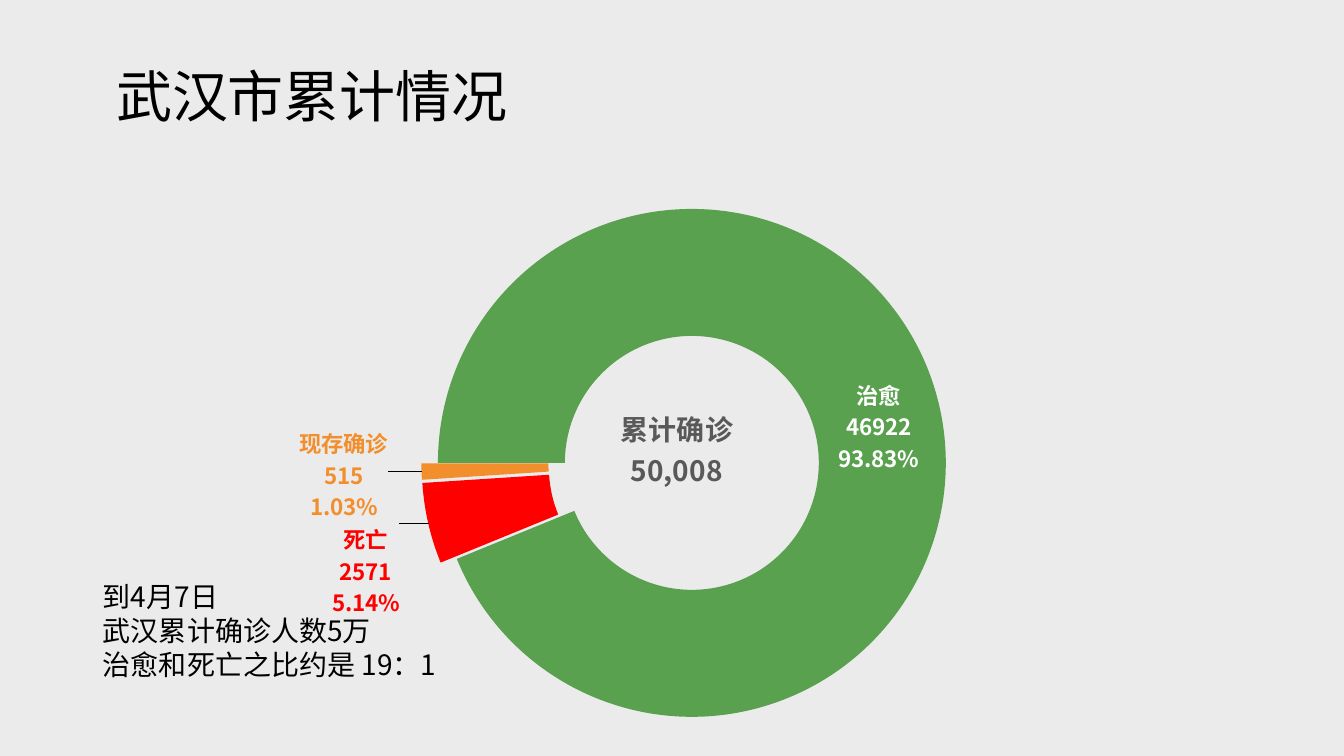
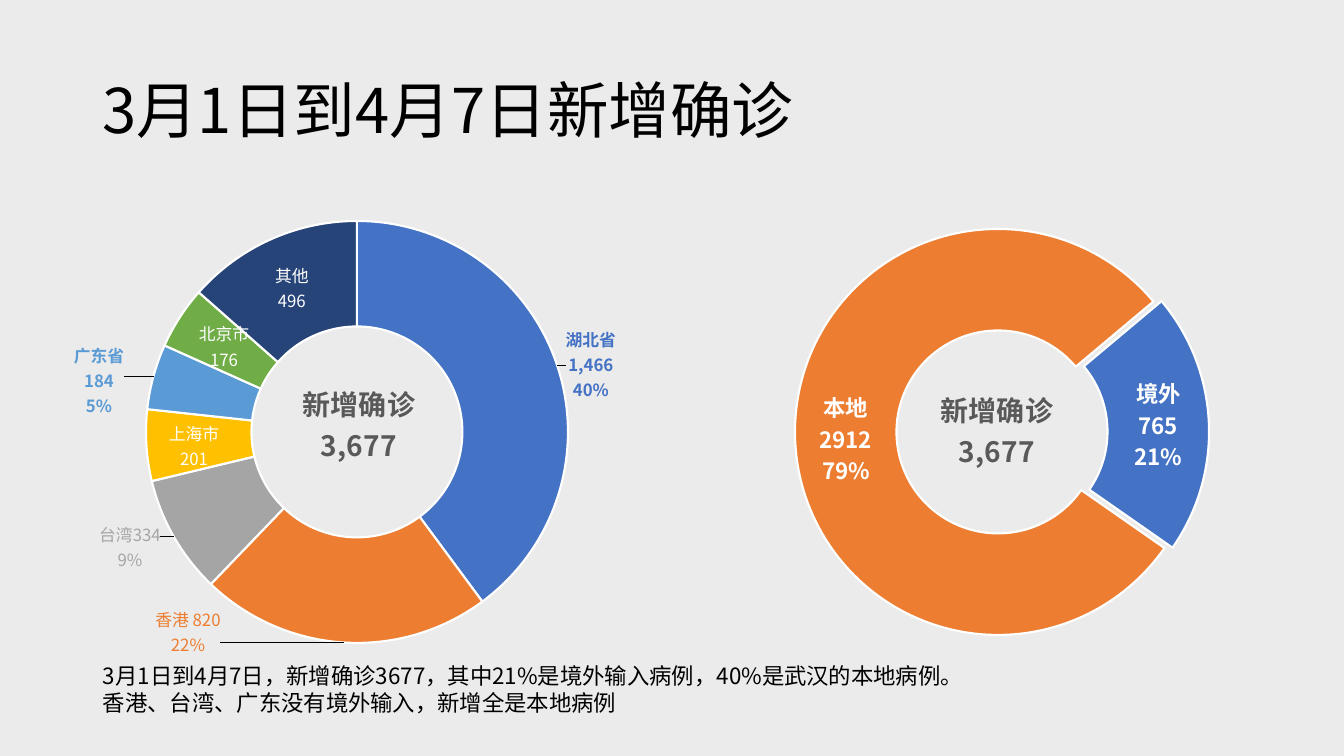
import math
from dataclasses import dataclass
from typing import Optional

from lxml import etree
from pptx import Presentation
from pptx.chart.data import CategoryChartData
from pptx.dml.color import RGBColor
from pptx.enum.chart import XL_CHART_TYPE
from pptx.enum.text import MSO_ANCHOR, MSO_AUTO_SIZE, PP_ALIGN
from pptx.oxml.ns import qn
from pptx.util import Emu, Pt

DOUGHNUT = XL_CHART_TYPE.DOUGHNUT
MIDDLE = MSO_ANCHOR.MIDDLE
NO_AUTOFIT = MSO_AUTO_SIZE.NONE
LEFT = PP_ALIGN.LEFT
EMU_PER_PX = 914400 / 100.8
TITLE_ONLY = 5


@dataclass(frozen=True)
class Theme:
    font: str = "Noto Sans CJK SC"
    chart_font: str = "Calibri"
    background: str = "EBEBEB"
    ink: str = "000000"
    muted: str = "595959"
    white: str = "FFFFFF"
    cured: str = "59A14F"
    dead: str = "FF0000"
    active: str = "F28E2B"
    blue: str = "4472C4"
    orange: str = "ED7D31"
    gray: str = "A5A5A5"
    gold: str = "FFC000"
    sky: str = "5B9BD5"
    green: str = "70AD47"
    navy: str = "264478"
    title: int = 44
    short_title: int = 40
    body: int = 20
    note: int = 16
    chart_title: int = 20
    label: int = 16
    small_label: int = 12
    chart_text: int = 10


THEME = Theme()


@dataclass
class Slice:
    name: str
    value: int
    color: str
    explosion: int = 0
    label_at: Optional[tuple] = None
    label_lines: tuple = ()
    label_color: str = THEME.white
    label_bold: bool = True


@dataclass
class Ring:
    frame: tuple
    center: tuple
    radius: int
    title_lines: tuple
    title_at: tuple
    slices: list
    hole: int = 61
    start: int = 0
    label_size: int = THEME.label
    percent_format: str = ""
    outline: str = ""


def px(length):
    return Emu(round(length * EMU_PER_PX))


def style_font(font, size, color=THEME.ink, bold=False, name=THEME.font):
    font.size = Pt(size)
    font.bold = bold
    font.color.rgb = RGBColor.from_string(color)
    font.name = name
    etree.SubElement(font._element, qn("a:ea")).set("typeface", THEME.font)


def write_lines(text_frame, lines, size, spacing=None, align=None, **look):
    for index, line in enumerate(lines):
        para = text_frame.paragraphs[0] if index == 0 else text_frame.add_paragraph()
        para.line_spacing = spacing
        para.alignment = align
        span = para.add_run()
        span.text = line
        style_font(span.font, size, **look)


def add_title(page, text, frame, size):
    box = page.shapes.title
    box.left, box.top, box.width, box.height = map(px, frame)
    text_frame = box.text_frame
    text_frame.auto_size = NO_AUTOFIT
    text_frame.vertical_anchor = MIDDLE
    write_lines(text_frame, [text], size, spacing=0.9, align=LEFT)


def add_text(page, lines, frame, size):
    text_frame = page.shapes.add_textbox(*map(px, frame)).text_frame
    text_frame.word_wrap = True
    write_lines(text_frame, lines, size, spacing=1.0)


def chart_node(tag, value):
    node = etree.Element(qn(f"c:{tag}"))
    node.set("val", str(value))
    return node


def manual_layout(**values):
    layout = etree.Element(qn("c:layout"))
    manual = etree.SubElement(layout, qn("c:manualLayout"))
    for tag, value in values.items():
        manual.append(chart_node(tag, value))
    return layout


def drop_layout(element):
    for layout in element.findall(qn("c:layout")):
        element.remove(layout)


def place_plot(chart, ring):
    left, top, width, height = ring.frame
    plot_area = chart._chartSpace.find(".//" + qn("c:plotArea"))
    drop_layout(plot_area)
    plot_area.insert(0, manual_layout(
        layoutTarget="inner", xMode="edge", yMode="edge",
        x=round((ring.center[0] - ring.radius - left) / width, 4),
        y=round((ring.center[1] - ring.radius - top) / height, 4),
        w=round(2 * ring.radius / width, 4),
        h=round(2 * ring.radius / height, 4)))
    doughnut = plot_area.find(qn("c:doughnutChart"))
    for tag, value in (("firstSliceAng", ring.start), ("holeSize", ring.hole)):
        for node in doughnut.findall(qn(f"c:{tag}")):
            doughnut.remove(node)
        doughnut.append(chart_node(tag, value))


def place_chart_title(chart, ring):
    left, top, width, height = ring.frame
    write_lines(chart.chart_title.text_frame, ring.title_lines,
                THEME.chart_title, color=THEME.muted, bold=True)
    title = chart._chartSpace.find(".//" + qn("c:title"))
    drop_layout(title)
    title.find(qn("c:tx")).addnext(manual_layout(
        xMode="edge", yMode="edge",
        x=round((ring.title_at[0] - left) / width, 4),
        y=round((ring.title_at[1] - top) / height, 4)))
    for node in title.findall(qn("c:overlay")):
        node.set("val", "1")


def split_label_lines(element):
    separator = etree.Element(qn("c:separator"))
    separator.text = "\n"
    element.find(qn("c:showBubbleSize")).addnext(separator)


def style_labels(series, ring):
    labels = series.data_labels
    labels.show_value = labels.show_percentage = labels.show_category_name = True
    style_font(labels.font, ring.label_size, THEME.white, True)
    if ring.percent_format:
        labels.number_format = ring.percent_format
        labels.number_format_is_linked = False
    element = labels._element
    split_label_lines(element)
    for node in element.findall(qn("c:showLeaderLines")):
        element.remove(node)
    element.append(chart_node("showLeaderLines", 1))


def style_slice(point, part, ring):
    point.format.fill.solid()
    point.format.fill.fore_color.rgb = RGBColor.from_string(part.color)
    line = point.format.line
    if ring.outline:
        line.color.rgb = RGBColor.from_string(ring.outline)
        line.width = Pt(1.5)
    else:
        line.fill.background()


def ring_middle(ring, index):
    total = sum(part.value for part in ring.slices)
    before = sum(part.value for part in ring.slices[:index])
    part = ring.slices[index]
    angle = math.radians(ring.start + 360 * (before + part.value / 2) / total)
    distance = ring.radius * (0.75 + part.explosion / 200)
    return (ring.center[0] + distance * math.sin(angle),
            ring.center[1] - distance * math.cos(angle))


def customize_label(series, index, ring):
    part = ring.slices[index]
    label = series.points[index].data_label
    look = {"color": part.label_color, "bold": part.label_bold}
    if part.label_lines:
        write_lines(label.text_frame, part.label_lines, ring.label_size, **look)
    else:
        style_font(label.font, ring.label_size, **look)
    element = next(node for node in series.data_labels._element.findall(qn("c:dLbl"))
                   if node.find(qn("c:idx")).get("val") == str(index))
    if not part.label_lines:
        for tag in ("showVal", "showCatName", "showPercent"):
            element.find(qn(f"c:{tag}")).set("val", "1")
        split_label_lines(element)
        if ring.percent_format:
            number_format = etree.Element(qn("c:numFmt"))
            number_format.set("formatCode", ring.percent_format)
            number_format.set("sourceLinked", "0")
            element.find(qn("c:idx")).addnext(number_format)
    if part.label_at:
        middle = ring_middle(ring, index)
        drop_layout(element)
        element.find(qn("c:idx")).addnext(manual_layout(
            x=round((part.label_at[0] - middle[0]) / ring.frame[2], 4),
            y=round((part.label_at[1] - middle[1]) / ring.frame[3], 4)))


def add_ring(page, ring):
    data = CategoryChartData()
    data.categories = [part.name for part in ring.slices]
    data.add_series("Series 1", [part.value for part in ring.slices])
    chart = page.shapes.add_chart(DOUGHNUT, *map(px, ring.frame), data).chart
    chart.has_legend = False
    style_font(chart.font, THEME.chart_text, name=THEME.chart_font)
    chart.plots[0].vary_by_categories = True
    place_chart_title(chart, ring)
    place_plot(chart, ring)
    series = chart.plots[0].series[0]
    style_labels(series, ring)
    for index, part in enumerate(ring.slices):
        style_slice(series.points[index], part, ring)
        if part.label_at or part.label_lines:
            customize_label(series, index, ring)
    for node in series._element.findall(qn("c:dPt")):
        part = ring.slices[int(node.find(qn("c:idx")).get("val"))]
        if part.explosion:
            node.find(qn("c:spPr")).addprevious(chart_node("explosion", part.explosion))


def add_page(deck):
    return deck.slides.add_slide(deck.slide_layouts[TITLE_ONLY])


def build_total_page(deck):
    page = add_page(deck)
    add_title(page, "武汉市累计情况", (106, 54, 1159, 90), THEME.short_title)
    add_ring(page, Ring(
        (248, 68, 877, 681), (692, 463), 254, ("累计确诊", "50,008"), (617, 403),
        [Slice("治愈", 46922, THEME.cured),
         Slice("死亡", 2571, THEME.dead, 13, (366, 571), label_color=THEME.dead),
         Slice("现存确诊", 515, THEME.active, 13, (344, 475), label_color=THEME.active)],
        hole=50, start=270, percent_format="0.00%"))
    add_text(page, ["到4月7日", "武汉累计确诊人数5万", "治愈和死亡之比约是 19：1"],
             (93, 575, 685, 112), THEME.body)


def build_new_cases_page(deck):
    page = add_page(deck)
    title_lines = ("新增确诊", "3,677")
    add_ring(page, Ring(
        (62, 99, 588, 558), (357, 432), 211, title_lines, (299, 378),
        [Slice("湖北省", 1466, THEME.blue, 0, (591, 364),
               ("湖北省", "1,466", "40%"), THEME.blue),
         Slice("香港", 820, THEME.orange, 0, (188, 632),
               ("香港 820", "22%"), THEME.orange, False),
         Slice("台湾", 334, THEME.gray, 0, (130, 547),
               ("台湾334", "9%"), THEME.gray, False),
         Slice("上海市", 201, THEME.gold, 0, (194, 446),
               ("上海市", "201"), label_bold=False),
         Slice("广东省", 184, THEME.sky, 0, (99, 380),
               ("广东省", "184", "5%"), THEME.sky),
         Slice("北京市", 176, THEME.green, label_lines=("北京市", "176"), label_bold=False),
         Slice("其他", 496, THEME.navy, label_lines=("其他", "496"), label_bold=False)],
        label_size=THEME.small_label, outline=THEME.white))
    add_title(page, "3月1日到4月7日新增确诊", (92, 41, 1159, 146), THEME.title)
    add_text(page, ["3月1日到4月7日，新增确诊3677，其中21%是境外输入病例，40%是武汉的本地病例。",
                    "香港、台湾、广东没有境外输入，新增全是本地病例"],
             (93, 657, 1159, 65), THEME.note)
    add_ring(page, Ring(
        (651, 99, 693, 558), (998, 432), 203, title_lines, (937, 384),
        [Slice("境外", 765, THEME.blue, 8), Slice("本地", 2912, THEME.orange)],
        start=50, outline=THEME.white))


def main():
    deck = Presentation()
    deck.slide_width, deck.slide_height = px(1344), px(756)
    fill = deck.slide_master.background.fill
    fill.solid()
    fill.fore_color.rgb = RGBColor.from_string(THEME.background)
    build_total_page(deck)
    build_new_cases_page(deck)
    deck.save("out.pptx")


if __name__ == "__main__":
    main()
